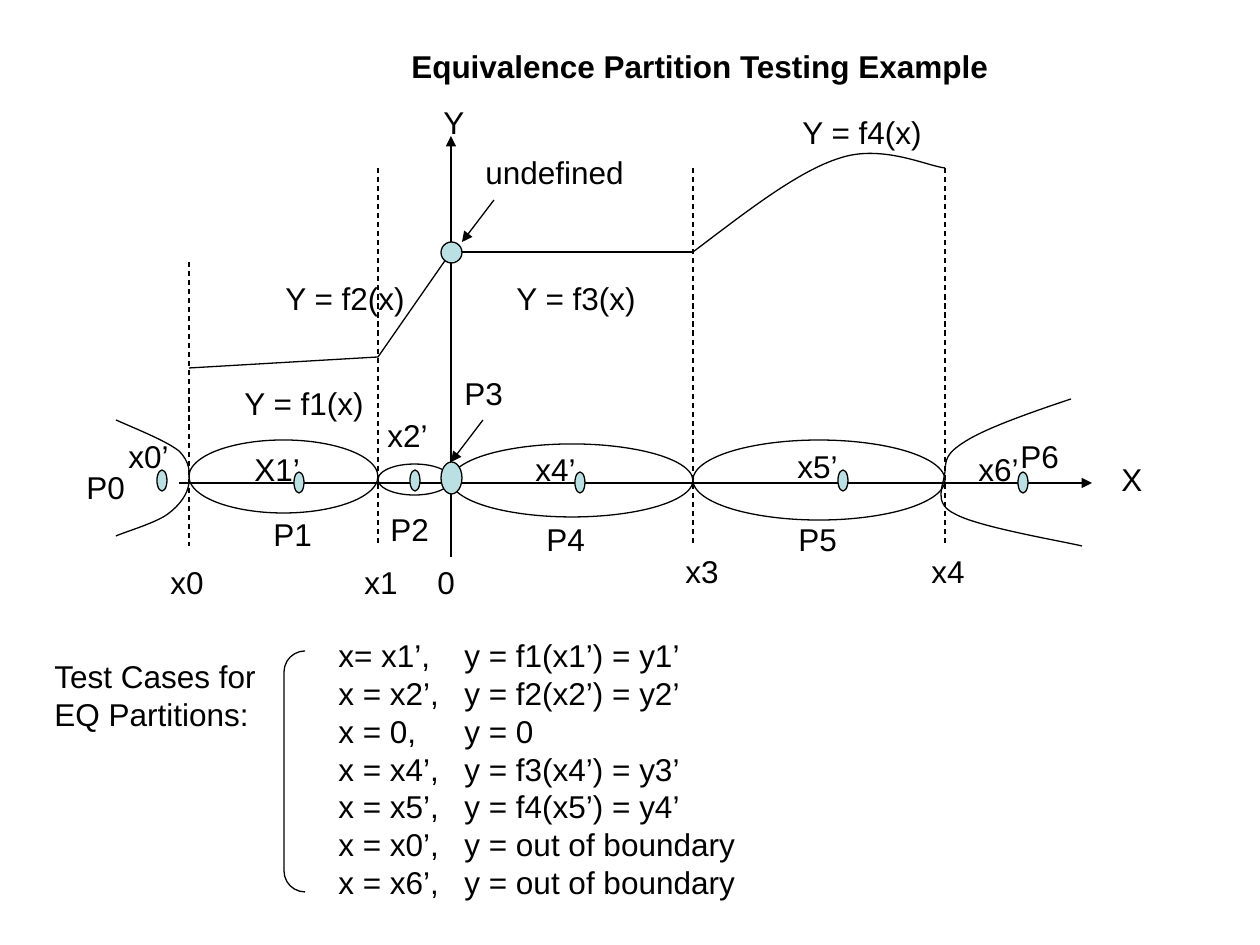
import pptx
import pptx.util
import pptx.dml.color
import pptx.enum.dml
import pptx.enum.shapes
import pptx.enum.text
import pptx.oxml
import pptx.oxml.ns

BLACK = pptx.dml.color.RGBColor(0x00, 0x00, 0x00)
PALE_BLUE = pptx.dml.color.RGBColor(0xBB, 0xE0, 0xE3)
PX = 914400 / 126
SHAPES = pptx.enum.shapes.MSO_SHAPE
LABEL_HEIGHT = 50
X0, X1, ZERO, X3, X4 = 126, 315, 388, 630, 882
AXIS_Y = 399


def emu(length):
    return pptx.util.Emu(round(length * PX))


def add_element(parent, tag, **attributes):
    element = pptx.oxml.parse_xml(f"<{tag} {pptx.oxml.ns.nsdecls('a')}/>")
    for name, value in attributes.items():
        element.set(name, str(value))
    parent.append(element)
    return element


def style_line(line):
    line.color.rgb = BLACK
    line.width = pptx.util.Pt(0.75)


def add_text(slide, left, top, width, height, lines, bold=False, wrap=False, tab=None):
    shape = slide.shapes.add_textbox(emu(left), emu(top), emu(width), emu(height))
    frame = shape.text_frame
    frame.word_wrap = wrap
    frame.auto_size = pptx.enum.text.MSO_AUTO_SIZE.SHAPE_TO_FIT_TEXT
    frame.text = "\n".join(lines)
    for paragraph in frame.paragraphs:
        if tab:
            tabs = add_element(paragraph._p.get_or_add_pPr(), "a:tabLst")
            add_element(tabs, "a:tab", pos=emu(tab), algn="l")
        paragraph.font.name = "Arial"
        paragraph.font.size = pptx.util.Pt(18)
        paragraph.font.bold = bold
        paragraph.font.color.rgb = BLACK


def add_line(slide, box, start, end, dashed=False, arrow=False):
    left, top = box
    connector = slide.shapes.add_connector(
        pptx.enum.shapes.MSO_CONNECTOR.STRAIGHT,
        emu(left + start[0]), emu(top + start[1]), emu(left + end[0]), emu(top + end[1]))
    style_line(connector.line)
    if dashed:
        connector.line.dash_style = pptx.enum.dml.MSO_LINE.DASH
    if arrow:
        add_element(connector.line._get_or_add_ln(), "a:tailEnd", type="triangle")
    add_element(connector._element.spPr, "a:effectLst")


def add_outline(slide, kind, left, top, width, height, fill=None):
    shape = slide.shapes.add_shape(kind, emu(left), emu(top), emu(width), emu(height))
    shape.shadow.inherit = False
    style_line(shape.line)
    if fill:
        shape.fill.solid()
        shape.fill.fore_color.rgb = fill
    else:
        shape.fill.background()
    return shape


def add_curve(slide, box, points):
    left, top = box
    placed = [(left + x, top + y) for x, y in points]
    builder = slide.shapes.build_freeform(*placed[0], scale=PX)
    builder.add_line_segments(placed[1:], close=False)
    shape = builder.convert_to_shape()
    shape.shadow.inherit = False
    shape.fill.background()
    style_line(shape.line)
    path = shape._element.find(".//" + pptx.oxml.ns.qn("a:path"))
    segments = path.findall(pptx.oxml.ns.qn("a:lnTo"))
    for index in range(0, len(segments), 3):
        curve = add_element(path, "a:cubicBezTo")
        for segment in segments[index:index + 3]:
            curve.append(segment[0])
            path.remove(segment)


def add_title(slide, box):
    add_text(slide, *box, 605, LABEL_HEIGHT, ["Equivalence Partition Testing Example"], bold=True)


def add_labels(slide, box, labels):
    left, top = box
    for text, x, y, width in labels:
        add_text(slide, left + x, top + y, width, LABEL_HEIGHT, [text])


def add_function_plot(slide, box):
    left, top = box
    add_line(slide, box, (116, AXIS_Y), (1029, AXIS_Y), arrow=True)
    add_line(slide, box, (ZERO, 473), (ZERO, 52), arrow=True)
    for boundary, start in ((X0, 178), (X1, 84), (X3, 84), (X4, 84)):
        add_line(slide, box, (boundary, start), (boundary, 462), dashed=True)
    add_line(slide, box, (X0, 284), (X1, 273))
    add_line(slide, box, (X1, 273), (ZERO, 168))
    add_line(slide, box, (399, 168), (X3, 168))
    add_curve(slide, box, [(X3, 168), (683, 128), (735, 87), (777, 74),
                           (819, 60), (864, 82), (X4, 84)])
    add_outline(slide, SHAPES.OVAL, left + 378, top + 158, 21, 21, PALE_BLUE)
    add_line(slide, box, (431, 116), (399, 158), arrow=True)
    add_labels(slide, box, [
        ("Y = f1(x)", 169, 294, 145), ("Y = f2(x)", 210, 189, 145),
        ("Y = f3(x)", 441, 189, 145), ("Y = f4(x)", 727, 23, 145),
        ("x0", 95, 473, 61), ("x1", 289, 473, 61), ("0", 362, 473, 43),
        ("x3", 610, 462, 61), ("x4", 856, 462, 61),
        ("Y", 368, 13, 45), ("X", 1046, 370, 45), ("undefined", 410, 63, 164)])


def add_partitions(slide, box):
    left, top = box
    for start, end, y, height in ((X0, X1, 356, 73), (X1, ZERO, 380, 31),
                                  (ZERO, X3, 360, 73), (X3, X4, 356, 80)):
        add_outline(slide, SHAPES.OVAL, left + start, top + y, end - start, height)
    add_curve(slide, box, [(53, 336), (78, 347), (103, 357), (116, 367),
                           (127, 378), (127, 388), (X0, AXIS_Y),
                           (125, 410), (117, 421), (105, 430),
                           (93, 439), (62, 448), (53, 452)])
    add_curve(slide, box, [(1008, 315), (966, 329), (924, 344), (903, 357),
                           (882, 370), (883, 376), (X4, 388),
                           (881, 401), (869, 419), (892, 430),
                           (915, 443), (998, 457), (1019, 462)])
    add_outline(slide, SHAPES.OVAL, left + 378, top + 378, 21, 32, PALE_BLUE)
    add_line(slide, box, (420, 336), (ZERO, 378), arrow=True)
    add_labels(slide, box, [
        ("P0", 11, 378, 66), ("P1", 198, 425, 66), ("P2", 315, 420, 66),
        ("P3", 389, 284, 66), ("P4", 471, 430, 66), ("P5", 723, 430, 66),
        ("P6", 945, 347, 66),
        ("x0’", 53, 347, 69), ("X1’", 179, 360, 74), ("x2’", 312, 326, 69),
        ("x4’", 460, 360, 69), ("x5’", 722, 357, 69), ("x6’", 903, 360, 69)])
    for x, y in ((94, 386), (231, 388), (347, 386), (512, 388), (775, 386), (955, 388)):
        add_outline(slide, SHAPES.OVAL, left + x, top + y, 10, 21, PALE_BLUE)


def add_test_cases(slide, box):
    left, top = box
    add_text(slide, left, top + 21, 231, 88, ["Test Cases for", "EQ Partitions:"], wrap=True)
    bracket = add_outline(slide, SHAPES.LEFT_BRACKET, left + 242, top + 21, 21, 241)
    bracket.adjustments[0] = 1
    cases = [("x= x1’,", "y = f1(x1’) = y1’"), ("x = x2’,", "y = f2(x2’) = y2’"),
             ("x = 0,", "y = 0"), ("x = x4’,", "y = f3(x4’) = y3’"),
             ("x = x5’,", "y = f4(x5’) = y4’"), ("x = x0’,", "y = out of boundary"),
             ("x = x6’,", "y = out of boundary")]
    add_text(slide, left + 284, top, 422, 277, ["\t".join(case) for case in cases], tab=126)


def main():
    presentation = pptx.Presentation()
    presentation.slide_width = emu(1260)
    presentation.slide_height = emu(945)
    slide = presentation.slides.add_slide(presentation.slide_layouts[6])
    diagram = (63, 84)
    add_function_plot(slide, diagram)
    add_partitions(slide, diagram)
    add_test_cases(slide, (42, 630))
    add_title(slide, (399, 41))
    presentation.save("out.pptx")


if __name__ == "__main__":
    main()
